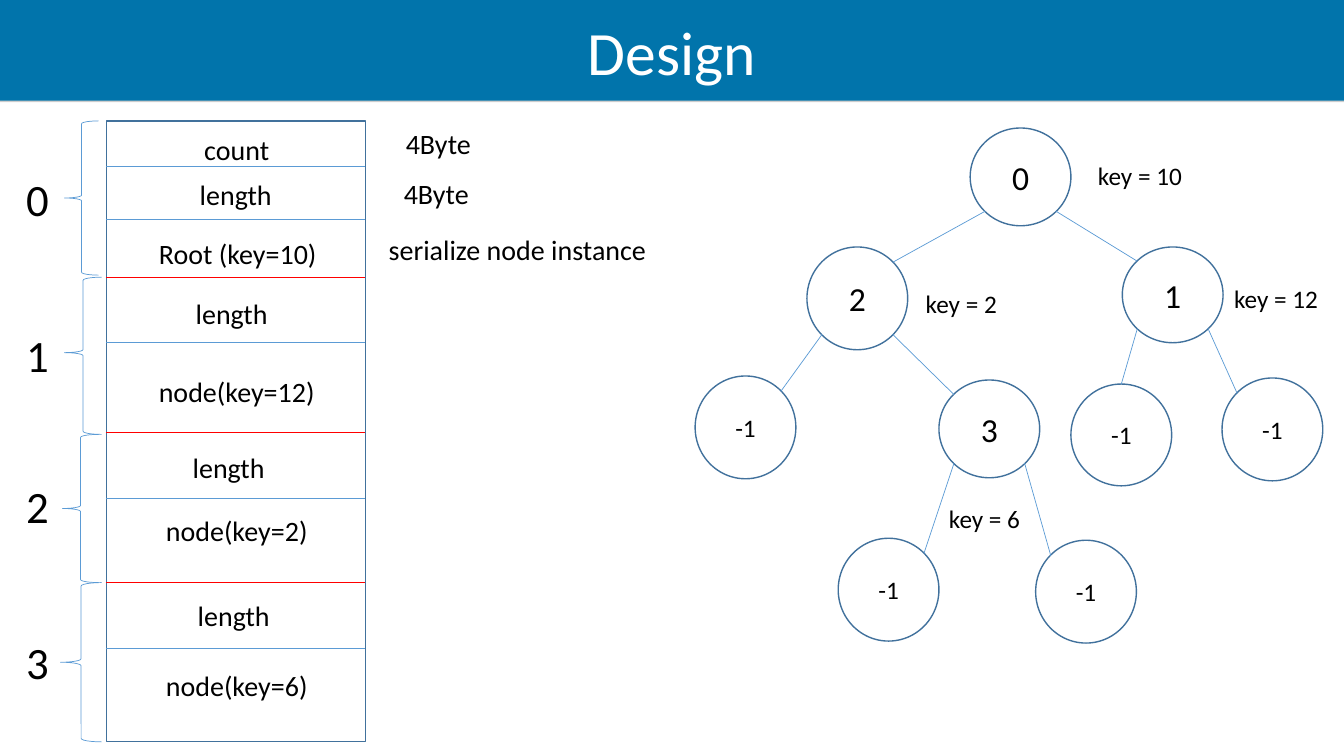
import pptx
import pptx.util
import pptx.dml.color
import pptx.enum.shapes
import pptx.enum.text
import pptx.oxml
import pptx.oxml.ns

RGBColor = pptx.dml.color.RGBColor
Shapes = pptx.enum.shapes.MSO_SHAPE
Align = pptx.enum.text.PP_ALIGN
Anchor = pptx.enum.text.MSO_ANCHOR

BANNER = RGBColor(0x01, 0x74, 0xAB)
OUTLINE = RGBColor(0x41, 0x71, 0x9C)
RULE = RGBColor(0x5B, 0x9B, 0xD5)
RECORD_RULE = RGBColor(0xFF, 0x00, 0x00)
BLACK = RGBColor(0, 0, 0)
WHITE = RGBColor(0xFF, 0xFF, 0xFF)

# The grid has square cells, ten to the inch.
CELL = pptx.util.Inches(0.1)
COLUMNS, ROWS = 133.4, 75
BANNER_SHADOW = (
    '<a:effectLst %s><a:outerShdw dist="12700" dir="5400000"><a:srgbClr val="808080">'
    '<a:alpha val="39000"/></a:srgbClr></a:outerShdw></a:effectLst>'
    % pptx.oxml.ns.nsdecls("a"))


class Deck:
    """Style and current slide; every position is in grid cells."""

    font = "Calibri"

    def __init__(self):
        self.presentation = pptx.Presentation()
        self.presentation.slide_width = self.cells(COLUMNS)
        self.presentation.slide_height = self.cells(ROWS)
        self.slide = self.presentation.slides.add_slide(self.presentation.slide_layouts[6])

    @staticmethod
    def cells(count):
        return pptx.util.Emu(round(count * CELL))

    def add_words(self, shape, words, size, colour=BLACK, align=Align.CENTER):
        paragraph = shape.text_frame.paragraphs[0]
        paragraph.alignment = align
        run = paragraph.add_run()
        run.text = words
        run.font.name = self.font
        run.font.size = pptx.util.Pt(size)
        run.font.color.rgb = colour

    def label(self, words, column, row, width, size, align=Align.LEFT):
        """Text box as tall as one line of its text."""
        height = 1 + size * 0.17
        box = self.slide.shapes.add_textbox(*map(self.cells, (column, row, width, height)))
        box.text_frame.word_wrap = True
        self.add_words(box, words, size, align=align)

    def shape(self, kind, box, line=None, weight=1, fill=None):
        shape = self.slide.shapes.add_shape(kind, *map(self.cells, box))
        shape.shadow.inherit = False
        shape.text_frame.vertical_anchor = Anchor.MIDDLE
        if fill is None:
            shape.fill.background()
        else:
            shape.fill.solid()
            shape.fill.fore_color.rgb = fill
        if line is None:
            shape.line.fill.background()
        else:
            shape.line.color.rgb = line
            shape.line.width = pptx.util.Pt(weight)
        return shape

    def banner(self, words, height):
        shape = self.shape(Shapes.RECTANGLE, (0, 0, COLUMNS, height), fill=BANNER)
        properties = shape.element.spPr
        properties.replace(properties.find(pptx.oxml.ns.qn("a:effectLst")),
                           pptx.oxml.parse_xml(BANNER_SHADOW))
        self.add_words(shape, words, 44, WHITE)

    def line(self, start, end, colour=RULE):
        connector = self.slide.shapes.add_connector(
            pptx.enum.shapes.MSO_CONNECTOR.STRAIGHT, *map(self.cells, (*start, *end)))
        connector.line.color.rgb = colour
        connector.line.width = pptx.util.Pt(0.5)
        connector.element.spPr.append(
            pptx.oxml.parse_xml("<a:effectLst %s/>" % pptx.oxml.ns.nsdecls("a")))

    def brace(self, left, top, right, bottom, tip):
        """Brace whose tip sits at the share `tip` of its height."""
        brace = self.shape(Shapes.LEFT_BRACE, (left, top, right - left, bottom - top), RULE, 0.5)
        brace.adjustments[1] = tip

    def node(self, words, box):
        shape = self.shape(Shapes.OVAL, box, OUTLINE)
        frame = shape.text_frame
        frame.margin_left = frame.margin_right = 0
        self.add_words(shape, words, 18 if words == "-1" else 24)


# Rows of the file: words, centre column, top row
FIELDS = [
    ("count", 23.5, 12.7), ("length", 23.4, 17.1), ("Root (key=10)", 23.6, 23),
    ("length", 23, 28.9), ("node(key=12)", 23.5, 36.7),
    ("length", 22.7, 44.2), ("node(key=2)", 23.5, 50.5),
    ("length", 23.2, 58.9), ("node(key=6)", 23.5, 65.8),
]
FIELD_RULES = [16.5, 21.8, 34, 49.4, 64.3]
RECORD_RULES = [27.5, 42.9, 57.8]
SIZES = [("4Byte", 39.3, 12.1), ("4Byte", 39.1, 17), ("serialize node instance", 37.6, 22.6)]

# Braces: left, top, right, bottom, tip; then the row of the record number
RECORDS = [
    ((6.4, 12, 9.8, 27.3, 0.5), 16.5),
    ((6.4, 27.5, 10.1, 43.1, 0.48), 32),
    ((6.2, 43.1, 9.8, 57.8, 0.5), 47),
    ((6, 57.8, 10.1, 73.6, 0.5), 62.5),
]

# Tree nodes: words and box
NODES = {
    "root": ("0", (96.3, 12.7, 10, 9.7)),
    "left": ("2", (80.1, 24.5, 10, 10.2)),
    "right": ("1", (111.4, 24.5, 10, 9.5)),
    "inner": ("3", (93.2, 37.7, 10, 9.7)),
    "left end": ("-1", (69, 37.3, 10, 10.2)),
    "inner left end": ("-1", (83.2, 53.4, 10, 10.2)),
    "inner right end": ("-1", (102.8, 53.6, 10, 10.2)),
    "right left end": ("-1", (106.3, 38.1, 10, 10.1)),
    "right right end": ("-1", (121.3, 37.5, 10, 10.2)),
}
# Points on an ellipse as shares of its box
NEAR, FAR = 0.15, 0.85
TOP, TOP_LEFT, TOP_RIGHT = (0.5, 0), (NEAR, NEAR), (FAR, NEAR)
BOTTOM_LEFT, BOTTOM_RIGHT = (NEAR, FAR), (FAR, FAR)
EDGES = [
    ("root", BOTTOM_LEFT, "left", TOP_RIGHT),
    ("root", BOTTOM_RIGHT, "right", TOP_LEFT),
    ("left", BOTTOM_LEFT, "left end", TOP_RIGHT),
    ("left", BOTTOM_RIGHT, "inner", TOP_LEFT),
    ("inner", BOTTOM_LEFT, "inner left end", TOP_RIGHT),
    ("inner", BOTTOM_RIGHT, "inner right end", TOP_LEFT),
    ("right", BOTTOM_LEFT, "right left end", TOP),
    ("right", BOTTOM_RIGHT, "right right end", TOP_LEFT),
]
KEYS = [("key = 10", 108, 15.4), ("key = 2", 90.9, 28.1),
        ("key = 12", 121.5, 27.6), ("key = 6", 93.2, 49.4)]


def point_on(name, share):
    left, top, width, height = NODES[name][1]
    return left + width * share[0], top + height * share[1]


def draw_file_layout(deck):
    deck.shape(Shapes.RECTANGLE, (10.6, 12, 25.7, 61.6), OUTLINE)
    for rows, colour in ((FIELD_RULES, RULE), (RECORD_RULES, RECORD_RULE)):
        for row in rows:
            deck.line((10.5, row), (36.2, row), colour)
    for words, centre, row in FIELDS:
        deck.label(words, centre - 12.5, row, 25, 20, Align.CENTER)
    for words, column, row in SIZES:
        deck.label(words, column, row, 29, 20)
    for number, (brace, row) in enumerate(RECORDS):
        deck.brace(*brace)
        deck.label(str(number), 1.6, row, 5.5, 32)


def draw_tree(deck):
    for words, box in NODES.values():
        deck.node(words, box)
    for parent, start, child, end in EDGES:
        deck.line(point_on(parent, start), point_on(child, end))
    for words, column, row in KEYS:
        deck.label(words, column, row, 11.5, 18)


def main():
    deck = Deck()
    deck.banner("Design", 10)
    draw_file_layout(deck)
    draw_tree(deck)
    deck.presentation.save("out.pptx")


if __name__ == "__main__":
    main()
